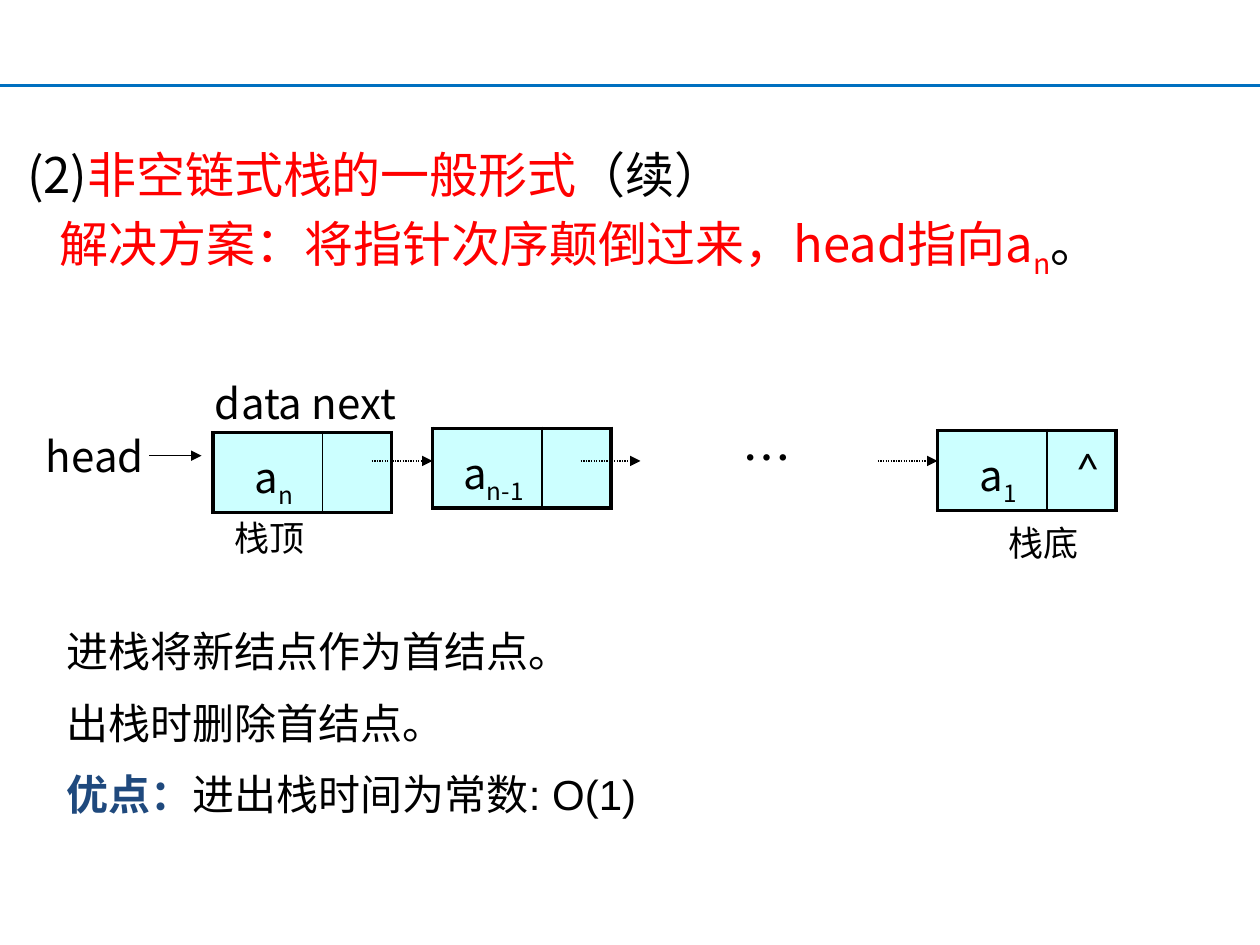
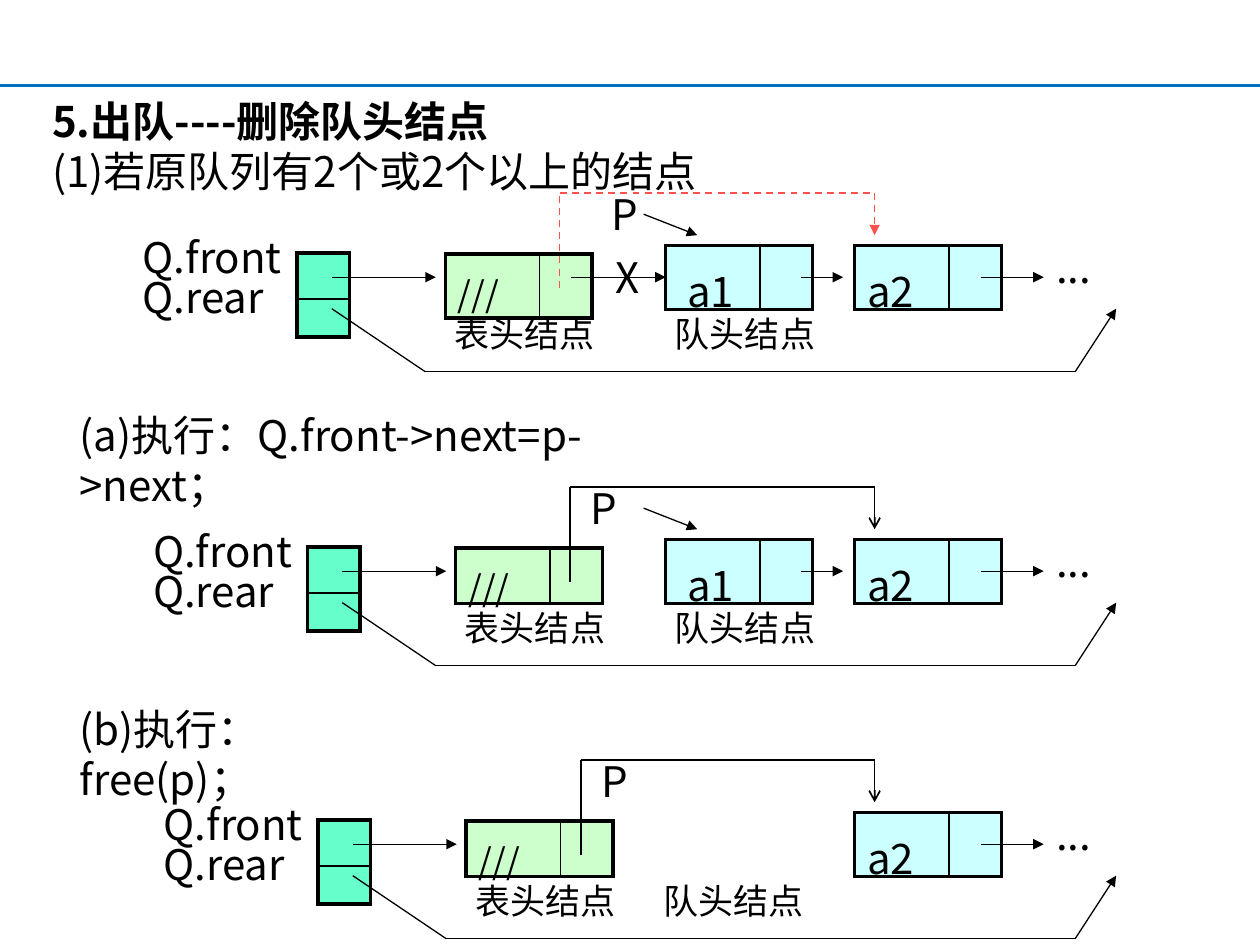
from itertools import pairwise

from lxml.etree import SubElement
from pptx import Presentation
from pptx.dml.color import RGBColor
from pptx.enum.dml import MSO_LINE_DASH_STYLE as Dash
from pptx.enum.shapes import MSO_CONNECTOR as Connector
from pptx.enum.text import PP_ALIGN as Align
from pptx.oxml import parse_xml
from pptx.oxml.ns import nsdecls, qn
from pptx.util import Inches, Pt

COLS, ROWS = 120, 90
CELL = Inches(10) / COLS

CJK = "Noto Sans CJK SC"
BLACK, RED, NAVY = "000000", "FF0000", "1F497D"
RULE, BYPASS = "0070C0", "FF5050"
DATA_FILL, HEAD_FILL, POINTER_FILL = "CCFFFF", "CCFFCC", "66FFCC"
OUTER, INNER = 2.25, 1


def grid(units):
    """Turn grid columns or rows into a slide length."""
    return round(units * CELL)


def rgb(code):
    return RGBColor.from_string(code)


def write_text(frame, paragraphs, size=24, color=BLACK, font=CJK, bold=False,
               before=0, spacing=None, align=None, indents=()):
    """Each paragraph is a list of runs: a string, or (string, overrides)."""
    frame.word_wrap = True
    for number, runs in enumerate(paragraphs):
        paragraph = frame.add_paragraph() if number else frame.paragraphs[0]
        if indents:
            left, first = indents[number]
            props = paragraph._p.get_or_add_pPr()
            props.set("marL", str(Inches(left)))
            props.set("indent", str(Inches(first)))
        if number and before:
            paragraph.space_before = Pt(before)
        if spacing:
            paragraph.line_spacing = spacing
        if align is not None:
            paragraph.alignment = align
        for part in runs:
            words, own = part if isinstance(part, tuple) else (part, {})
            run = paragraph.add_run()
            run.text = words
            run.font.size = Pt(size)
            run.font.bold = own.get("bold", bold)
            run.font.color.rgb = rgb(own.get("color", color))
            run.font.name = own.get("font", font)
            props = run._r.get_or_add_rPr()
            SubElement(props, qn("a:ea"), typeface=CJK)
            if own.get("sub"):
                props.set("baseline", "-25000")


def add_text(slide, x, y, paragraphs, width=19, height=6, **fmt):
    box = slide.shapes.add_textbox(grid(x), grid(y), grid(width), grid(height))
    write_text(box.text_frame, paragraphs, **fmt)


def add_line(slide, points, color=BLACK, width=0.75, dash=None, head="triangle"):
    """Join the points with connectors; the last one carries the arrowhead."""
    for start, end in pairwise(points):
        link = slide.shapes.add_connector(
            Connector.STRAIGHT, *map(grid, start), *map(grid, end))
        link.line.color.rgb = rgb(color)
        link.line.width = Pt(width)
        if dash:
            link.line.dash_style = dash
        SubElement(link._element.spPr, qn("a:effectLst"))
    if head:
        SubElement(link.line._get_or_add_ln(), qn("a:tailEnd"), type=head)


def style_cell(cell, fill, borders, pad=0.1):
    """Borders are widths in the order left, right, top, bottom."""
    cell.fill.solid()
    cell.fill.fore_color.rgb = rgb(fill)
    cell.margin_left, cell.margin_right = Inches(pad), 0
    cell.margin_top, cell.margin_bottom = Inches(0.1), 0
    props = cell._tc.get_or_add_tcPr()
    for place, (side, width) in enumerate(zip("LRTB", borders)):
        props.insert(place, parse_xml(
            f'<a:ln{side} {nsdecls("a")} w="{Pt(width)}"><a:solidFill>'
            f'<a:srgbClr val="{BLACK}"/></a:solidFill></a:ln{side}>'))


def add_cells(slide, x, y, widths, heights, fill, texts=(), pad=0.1, **fmt):
    """Draw a record whose fields are table cells, thick outside, thin inside."""
    table = slide.shapes.add_table(
        len(heights), len(widths), grid(x), grid(y),
        grid(sum(widths)), grid(sum(heights))).table
    table.first_row = table.horz_banding = False
    for column, width in zip(table.columns, widths):
        column.width = grid(width)
    for row, height in zip(table.rows, heights):
        row.height = grid(height)
    last_row, last_col = len(heights) - 1, len(widths) - 1
    for r in range(last_row + 1):
        for c in range(last_col + 1):
            cell = table.cell(r, c)
            edges = (c == 0, c == last_col, r == 0, r == last_row)
            style_cell(cell, fill, [OUTER if edge else INNER for edge in edges], pad)
            if c < len(texts):
                write_text(cell.text_frame, [texts[c]], **fmt)
            else:
                SubElement(cell.text_frame.paragraphs[0]._p,
                           qn("a:endParaRPr"), sz="1000")


def new_slide(prs):
    slide = prs.slides.add_slide(prs.slide_layouts[6])
    add_line(slide, [(0, 8.15), (COLS, 8.15)], RULE, 1.5, head=None)
    return slide


def sub(words, **own):
    return words, dict(own, sub=True)


def red(words):
    return words, {"color": RED}


def stack_slide(prs):
    slide = new_slide(prs)
    add_text(slide, 1.4, 13.2, [
        ["(2)", red("非空链式栈的一般形式"), "（续）"],
        [red("解决方案：将指针次序颠倒过来，head指向a"), sub("n", color=RED), "。"],
    ], width=116, height=15.6, size=28, before=5.6,
        indents=[(0.38, -0.38), (0.38, -0.12)])

    nodes = [(20.3, 41.2, "n", []), (41.2, 40.8, "n-1", []),
             (89.3, 41, "1", [[("^", {"font": "Lato"})]])]
    for x, y, index, link in nodes:
        add_cells(slide, x, y, (10.4, 6.6), (7.6,), DATA_FILL,
                  [["a", sub(index)], *link], align=Align.CENTER)

    add_text(slide, 19.3, 35.4, [["data next"]], width=24)
    add_text(slide, 3.2, 40.4, [["head"]], width=14)
    add_text(slide, 69.5, 40.1, [["…"]], size=28)
    for x, y, end_name in [(94.9, 49.1, "栈底"), (21.2, 48.6, "栈顶")]:
        add_text(slide, x, y, [[end_name]], size=20)

    add_line(slide, [(14.2, 43.4), (19.2, 43.4)])
    for start, end in [(35.4, 41.2), (55.3, 61), (83.6, 89.3)]:
        add_line(slide, [(start, 43.9), (end, 43.9)], dash=Dash.ROUND_DOT)

    add_text(slide, 5.2, 59, [
        ["进栈将新结点作为首结点。"],
        ["出栈时删除首结点。"],
        [("优点：", {"color": NAVY, "bold": True}), "进出栈时间为常数: O(1)"],
    ], width=109, height=26, font="Arial", before=12)


def draw_queue(slide, step, top, head_height, p_x, front_x, bypass_x,
               has_front=True, bypass=None):
    """Draw one state of the queue; each step moves its left part one column."""
    node = (9, 5)
    front, second, beyond = 63.4, 81.4, 106.3
    pointer_y, rear_y, floor_y = top + 3, top + 6, top + 12
    label = dict(size=20, spacing=0.9)

    add_cells(slide, 42.4 + step, top + 0.8, node, (head_height,), HEAD_FILL,
              [["///"]], size=20)
    add_text(slide, 42.1 + step, top + 6.2, [["表头结点"]], **label)
    add_text(slide, front_x, top + 6.2, [["队头结点"]], **label)
    if has_front:
        add_cells(slide, front, top, node, (6.1,), DATA_FILL, [["a1"]], pad=0.17)
        add_line(slide, [(76.3, pointer_y), (80.3, pointer_y)])
        add_line(slide, [(61.3, top - 3), (66.4, top - 1)])
    add_cells(slide, second, top, node, (6.1,), DATA_FILL, [["a2"]])
    add_line(slide, [(93.4, pointer_y), (99.4, pointer_y)])
    add_text(slide, 99.4, top - 1, [["..."]])

    add_text(slide, 12.4 + step, top - 1, [["Q.front"], ["Q.rear"]],
             height=9, spacing=0.8)
    add_cells(slide, 28.3 + step, top + 0.7, (5,), (4.4, 3.6), POINTER_FILL)
    add_line(slide, [(31.6 + step, pointer_y), (41.5 + step, pointer_y)])
    add_line(slide, [(31.6 + step, rear_y), (40.5 + step, floor_y),
                     (102.4, floor_y), (beyond, rear_y)])
    add_text(slide, p_x, top - 6, [["P"]])
    add_line(slide, [(bypass_x, top + 4), (bypass_x, top - 5),
                     (83.3, top - 5), (83.3, top - 1)],
             **(bypass or dict(width=1, head="arrow")))


def dequeue_slide(prs):
    slide = new_slide(prs)
    add_text(slide, 3.8, 8.5, [
        [("5.出队----删除队头结点", {"bold": True})],
        ["(1)若原队列有2个或2个以上的结点"],
    ], width=115, height=12, indents=[(0.38, -0.38)] * 2)

    before, relinked, freed = 23.4, 51.4, 77.4
    draw_queue(slide, 0, before, 6.1, p_x=57.1, front_x=63.1, bypass_x=53.3,
               bypass=dict(color=BYPASS, width=1, dash=Dash.DASH))
    add_line(slide, [(54.4, before + 3), (63.4, before + 3)])
    add_text(slide, 57.4, before, [["X"]])

    add_text(slide, 6.4, 38.4, [["(a)执行：Q.front->next=p->next；"]],
             width=53, height=11)
    draw_queue(slide, 1, relinked, 5.3, p_x=55.1, front_x=63.1, bypass_x=54.3)

    add_text(slide, 6.4, 66.4, [["(b)执行：free(p)；"]], width=26, height=11)
    draw_queue(slide, 2, freed, 5.3, p_x=56.1, front_x=62, bypass_x=55.3,
               has_front=False)


def main():
    prs = Presentation()
    prs.slide_width, prs.slide_height = grid(COLS), grid(ROWS)
    stack_slide(prs)
    dequeue_slide(prs)
    prs.save("out.pptx")


if __name__ == "__main__":
    main()
